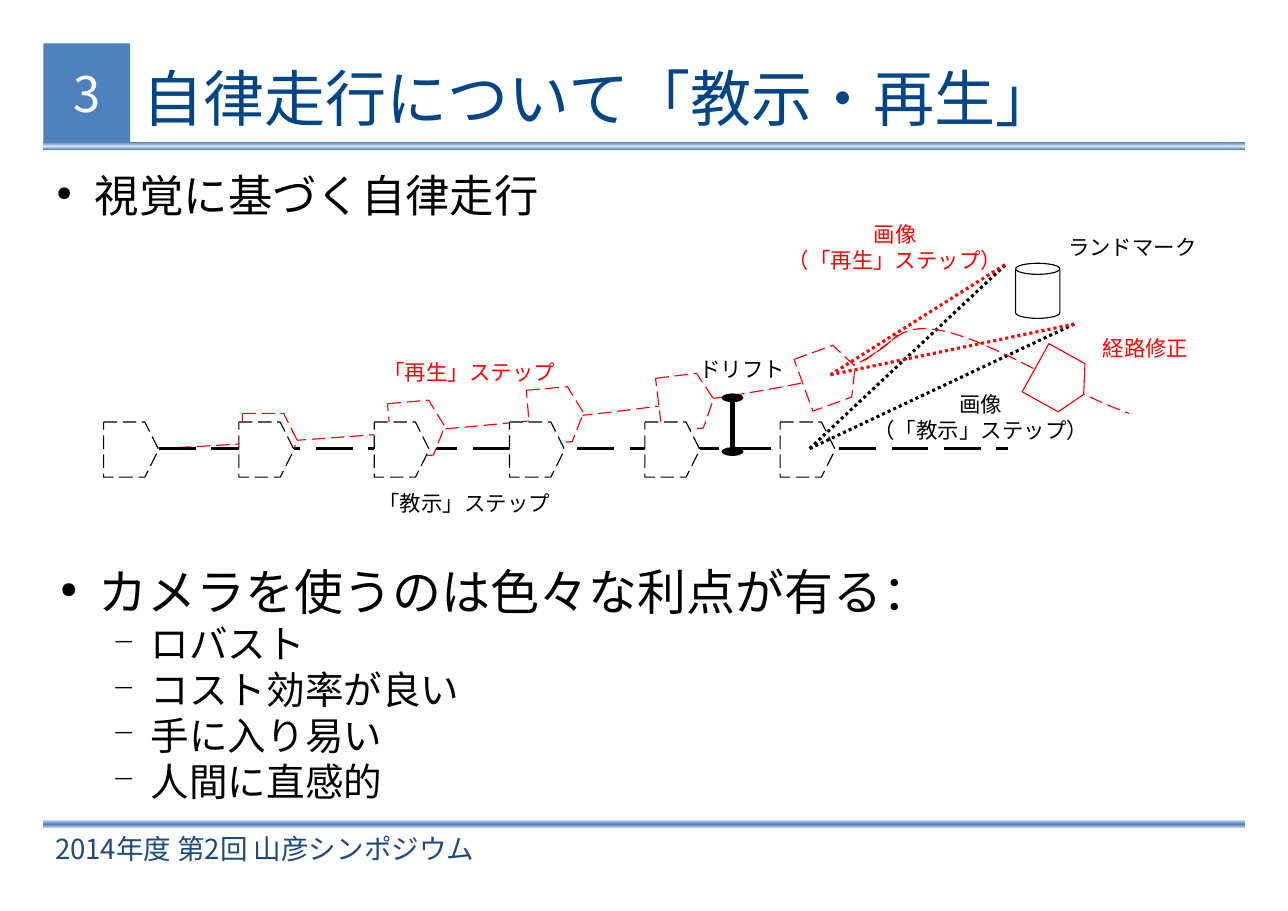
from dataclasses import dataclass

from lxml import etree
from pptx import Presentation
from pptx.dml.color import RGBColor
from pptx.enum.shapes import MSO_CONNECTOR, MSO_SHAPE
from pptx.enum.text import MSO_ANCHOR, PP_ALIGN
from pptx.oxml.ns import qn
from pptx.util import Cm, Pt

LEFT, CENTER = PP_ALIGN.LEFT, PP_ALIGN.CENTER
TOP, MIDDLE = MSO_ANCHOR.TOP, MSO_ANCHOR.MIDDLE
RECT, CAN = MSO_SHAPE.RECTANGLE, MSO_SHAPE.CAN
STRAIGHT = MSO_CONNECTOR.STRAIGHT

Point = tuple[float, float]
Dash = tuple[int, int] | None
DASHED, DOTTED, SOLID = (12, 5), (1, 1), None


@dataclass(frozen=True)
class Theme:
    """Colours, fonts and type sizes of the slide."""
    black: str = "000000"
    white: str = "FFFFFF"
    red: str = "FF0000"
    blue: str = "4F81BD"
    pale: str = "DAE1F8"
    navy: str = "1F497D"
    title: str = "004586"
    sans: str = "Arial"
    serif: str = "Times New Roman"
    asian: str = "Noto Sans CJK JP"
    head: float = 39.9
    large: float = 32
    lead: float = 29
    item: float = 25.2
    foot: float = 18
    label: float = 14
    leading: float = 1.19


THEME = Theme()


@dataclass(frozen=True)
class Box:
    """A frame in centimetres."""
    x: float
    y: float
    w: float
    h: float

    def cm(self) -> tuple[Cm, Cm, Cm, Cm]:
        """Give the frame as lengths."""
        return Cm(self.x), Cm(self.y), Cm(self.w), Cm(self.h)


@dataclass(frozen=True)
class Para:
    """A paragraph with its type and an optional bullet."""
    text: str
    size: float
    font: str = THEME.sans
    color: str = THEME.black
    align: PP_ALIGN = LEFT
    bullet: str = ""
    scale: int = 45
    indent: float = 1.19
    level: int = 0


@dataclass(frozen=True)
class Robot:
    """A pentagon that stands for the robot."""
    x: float
    y: float
    turn: float = 0
    color: str = THEME.red
    dash: Dash = DASHED


@dataclass(frozen=True)
class Label:
    """A caption in the diagram."""
    lines: tuple[str, ...]
    box: Box
    color: str = THEME.black
    align: PP_ALIGN = LEFT


@dataclass(frozen=True)
class Ray:
    """A straight line between two points."""
    start: Point
    end: Point
    color: str
    dash: Dash


def rgb(code: str) -> RGBColor:
    """Turn a hex code into a colour."""
    return RGBColor.from_string(code)


def add_node(parent, tag: str, **attrs: str):
    """Append an XML child with attributes."""
    return etree.SubElement(parent, qn(tag), attrs)


def stroke(shape, color: str, dash: Dash, width: float = 0) -> None:
    """Set the line of a shape."""
    shape.line.color.rgb = rgb(color)
    shape.line.width = Pt(width)
    if dash:
        node = add_node(shape.line._get_or_add_ln(), "a:custDash")
        on, off = (str(part * 100000) for part in dash)
        add_node(node, "a:ds", d=on, sp=off)


def write(frame, paras: list[Para], anchor=TOP, inset: Point = (0, 0),
          wrap: bool = True, tight: bool = True) -> None:
    """Fill a text frame with paragraphs."""
    frame.word_wrap, frame.vertical_anchor = wrap, anchor
    frame.margin_left = frame.margin_right = Cm(inset[0])
    frame.margin_top = frame.margin_bottom = Cm(inset[1])
    for num, item in enumerate(paras):
        para = frame.add_paragraph() if num else frame.paragraphs[0]
        para.alignment, para.level = item.align, item.level
        if tight:
            para.line_spacing = Pt(round(item.size * THEME.leading, 1))
        if item.bullet:
            props = para._p.get_or_add_pPr()
            props.set("marL", str(Cm(item.indent)))
            props.set("indent", str(Cm(-0.89)))
            add_node(add_node(props, "a:buClr"), "a:srgbClr", val=item.color)
            add_node(props, "a:buSzPct", val=str(item.scale * 1000))
            add_node(props, "a:buChar", char=item.bullet)
        run = para.add_run()
        run.text = item.text
        run.font.size, run.font.name = Pt(item.size), item.font
        run.font.color.rgb = rgb(item.color)
        add_node(run._r.get_or_add_rPr(), "a:ea", typeface=THEME.asian)


def add_text(slide, box: Box, paras: list[Para], **style) -> None:
    """Add a text box."""
    write(slide.shapes.add_textbox(*box.cm()).text_frame, paras, **style)


def add_bar(slide, box: Box, edge: str, core: str) -> None:
    """Add a bar that shades from edge to core and back."""
    bar = slide.shapes.add_shape(RECT, *box.cm())
    bar.shadow.inherit = False
    bar.line.fill.background()
    bar.fill.gradient()
    bar.fill.gradient_angle = 90
    stops = bar.fill._fill._gradFill.gsLst
    for stop in list(stops):
        stops.remove(stop)
    for pos, color in ((0, edge), (50, core), (100, edge)):
        stop = add_node(stops, "a:gs", pos=str(pos * 1000))
        add_node(stop, "a:srgbClr", val=color)


def add_path(slide, points: list[Point], color: str, dash: Dash, closed: bool = False):
    """Add an outline through the points."""
    first, *rest = [(Cm(x), Cm(y)) for x, y in points]
    pen = slide.shapes.build_freeform(*first)
    pen.add_line_segments(rest, close=closed)
    shape = pen.convert_to_shape()
    shape.shadow.inherit = False
    shape.fill.background()
    stroke(shape, color, dash)
    return shape


def bend(a: Point, b: Point, c: Point, d: Point, steps: int = 30) -> list[Point]:
    """Give the points of a cubic curve."""
    def mix(axis: int, t: float) -> float:
        """Blend the four points on one axis."""
        u = 1 - t
        return (u**3 * a[axis] + 3 * u * u * t * b[axis]
                + 3 * u * t * t * c[axis] + t**3 * d[axis])
    return [(mix(0, n / steps), mix(1, n / steps)) for n in range(steps + 1)]


def add_robot(slide, bot: Robot, size: float = 1.27) -> None:
    """Add a robot, turned to its heading."""
    form = ((0, 0), (0.75, 0), (1, 0.5), (0.75, 1), (0, 1))
    points = [(bot.x + size * x, bot.y + size * y) for x, y in form]
    shape = add_path(slide, points, bot.color, bot.dash, True)
    shape.fill.solid()
    shape.fill.fore_color.rgb = rgb(THEME.white)
    shape.rotation = bot.turn


def add_ray(slide, ray: Ray, width: float = 0):
    """Add a straight line."""
    ends = [Cm(part) for part in (*ray.start, *ray.end)]
    line = slide.shapes.add_connector(STRAIGHT, *ends)
    add_node(line._element.spPr, "a:effectLst")
    stroke(line, ray.color, ray.dash, width)
    return line


def add_frame(slide) -> None:
    """Add the bars, page number, title and footer."""
    add_bar(slide, Box(1, 3.28, 27.7, 0.18), THEME.blue, THEME.pale)
    add_bar(slide, Box(1, 18.9, 27.7, 0.2), THEME.pale, THEME.blue)
    page = slide.shapes.add_shape(RECT, *Box(1, 1, 2, 2.28).cm())
    page.shadow.inherit = False
    page.fill.solid()
    page.fill.fore_color.rgb = rgb(THEME.blue)
    page.line.fill.background()
    write(page.text_frame, [Para("3", THEME.large, THEME.asian, THEME.white, CENTER)],
          anchor=MIDDLE, tight=False)
    add_text(slide, Box(1.02, 19.1, 17, 0.91),
             [Para("2014年度 第2回 山彦シンポジウム", THEME.foot, THEME.asian, THEME.navy)],
             anchor=MIDDLE, inset=(0.25, 0.13), tight=False)
    add_text(slide, Box(3.28, 1.04, 24.66, 2.41),
             [Para("自律走行について「教示・再生」", THEME.head, color=THEME.title)],
             anchor=MIDDLE, tight=False)


def add_lists(slide) -> None:
    """Add the bulleted text above and below the diagram."""
    add_text(slide, Box(1, 3.88, 27.7, 1.52),
             [Para("視覚に基づく自律走行", THEME.lead, bullet="●")])
    gains = ("ロバスト", "コスト効率が良い", "手に入り易い", "人間に直感的")
    add_text(slide, Box(0.84, 12.83, 20.93, 5.99),
             [Para("カメラを使うのは色々な利点が有る：", THEME.large, bullet="●")]
             + [Para(gain, THEME.item, bullet="−", scale=75, indent=2.39, level=1)
                for gain in gains], inset=(0.25, 0.13))


def add_scene(slide) -> None:
    """Add the teaching and replay diagram."""
    black, red = THEME.black, THEME.red
    replay = (bend((3.66, 10.34), (3.66, 10.34), (13.87, 9.86), (18.92, 8.74))
              + bend((18.92, 8.74), (20.19, 8.31), (20.7, 7.72), (20.7, 7.72))[1:])
    add_path(slide, replay, red, DASHED)
    add_ray(slide, Ray((3.66, 10.34), (23.24, 10.34), black, DASHED))
    drifted = [Robot(5.59, 9.53), Robot(8.99, 9.25, -5), Robot(12.19, 8.94, -5),
               Robot(15.19, 8.64, -7), Robot(18.49, 8.03, -20)]
    taught = [Robot(2.39 + 3.12 * n, 9.73, color=black) for n in range(6)]
    for bot in drifted + taught:
        add_robot(slide, bot)
    mark = slide.shapes.add_shape(CAN, *Box(23.42, 6.07, 1.02, 1.27).cm())
    mark.shadow.inherit = False
    mark.fill.background()
    stroke(mark, black, SOLID)
    for eye, color in (((18.67, 10.34), black), ((19.15, 8.64), red)):
        for edge in ((23.22, 6.07), (24.77, 7.47)):
            add_ray(slide, Ray(eye, edge, color, DOTTED))
    mend = bend((20.7, 7.75), (21.72, 6.99), (24.26, 8.92), (26.04, 9.53))
    add_path(slide, [(19.94, 8.31)] + mend, red, DASHED)
    add_robot(slide, Robot(23.8, 8.15, 29, dash=SOLID))
    drift = add_ray(slide, Ray((16.89, 9.17), (16.89, 10.41), black, SOLID), 2.89)
    for tag in ("a:headEnd", "a:tailEnd"):
        add_node(drift.line._get_or_add_ln(), tag, type="oval", w="lg", len="sm")
    labels = [
        Label(("画像", "（「教示」ステップ）"), Box(19.89, 8.89, 5.46, 1.42), black, CENTER),
        Label(("画像", "（「再生」ステップ）"), Box(17.91, 4.98, 5.46, 1.42), red, CENTER),
        Label(("「教示」ステップ",), Box(8.48, 11.18, 4.47, 0.84)),
        Label(("「再生」ステップ",), Box(8.59, 8.15, 4.47, 0.84), red),
        Label(("ランドマーク",), Box(24.38, 5.28, 3.48, 0.84)),
        Label(("経路修正",), Box(25.17, 7.59, 2.49, 0.84), red, CENTER),
        Label(("ドリフト",), Box(15.88, 8.08, 2.49, 0.84)),
    ]
    for label in labels:
        paras = [Para(line, THEME.label, THEME.serif, label.color, label.align)
                 for line in label.lines]
        add_text(slide, label.box, paras, inset=(0.25, 0.13), wrap=False)


def main() -> None:
    """Build the slide and save it."""
    deck = Presentation()
    deck.slide_width, deck.slide_height = Cm(29.7), Cm(21)
    slide = deck.slides.add_slide(deck.slide_layouts[6])
    add_frame(slide)
    add_lists(slide)
    add_scene(slide)
    deck.save("out.pptx")


if __name__ == "__main__":
    main()
